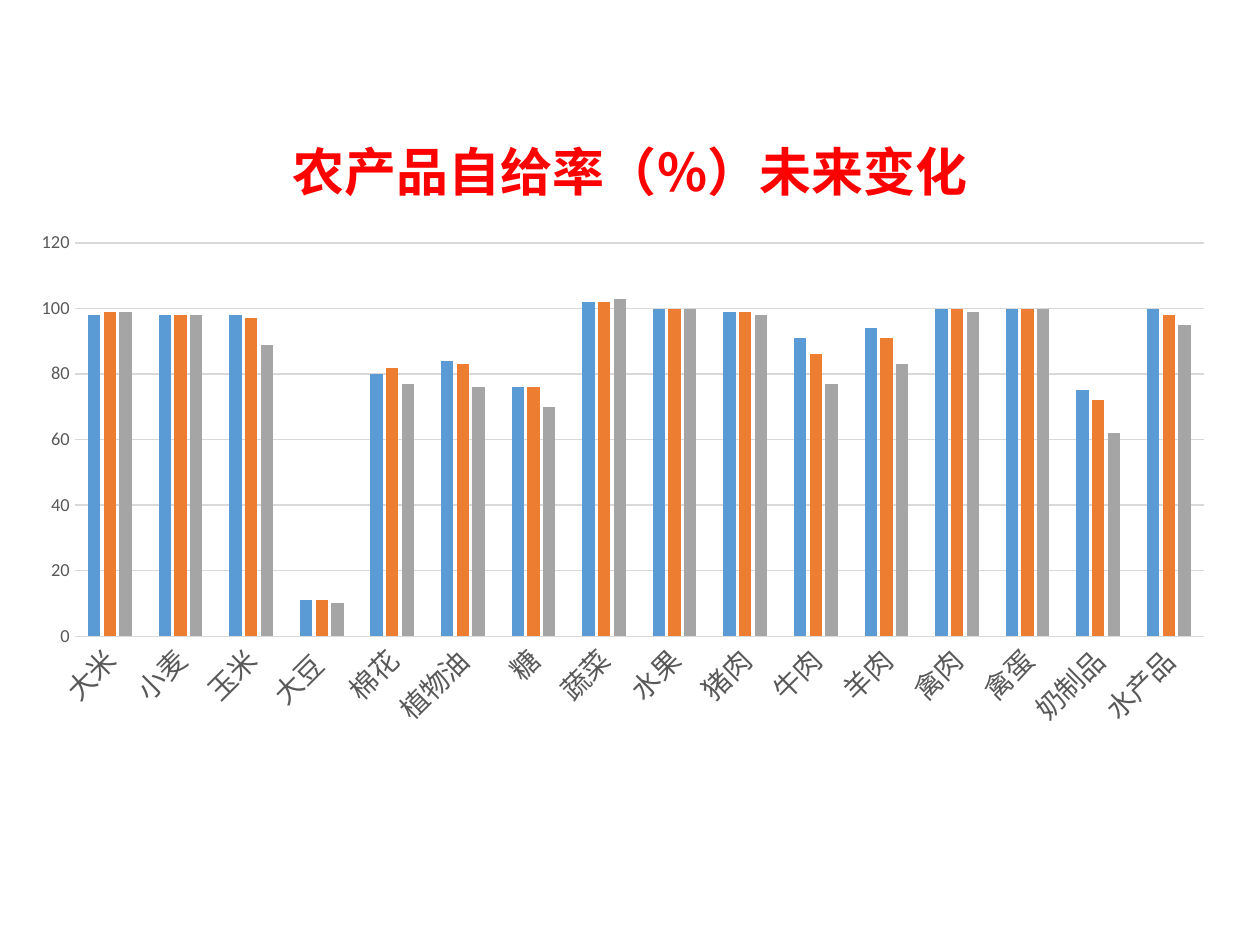
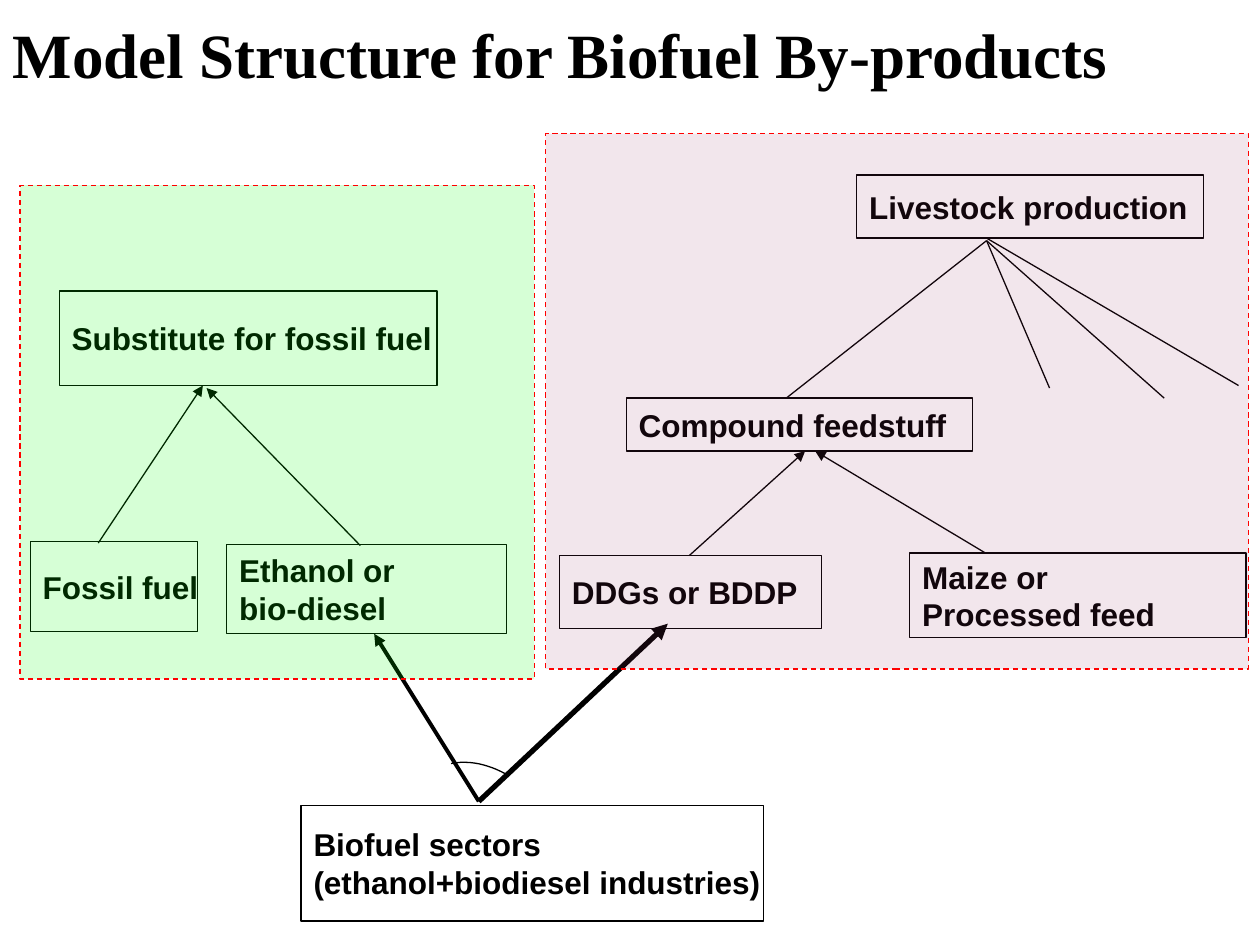
from dataclasses import dataclass

from lxml.etree import SubElement
from pptx import Presentation
from pptx.chart.data import CategoryChartData
from pptx.dml.color import RGBColor
from pptx.enum.chart import XL_CHART_TYPE, XL_TICK_MARK
from pptx.enum.dml import MSO_LINE
from pptx.enum.shapes import MSO_CONNECTOR, MSO_SHAPE
from pptx.enum.text import MSO_ANCHOR, MSO_AUTO_SIZE, PP_ALIGN
from pptx.oxml import parse_xml
from pptx.oxml.ns import nsdecls, qn
from pptx.util import Inches, Pt


@dataclass(frozen=True)
class Theme:
    ink: str = "000000"
    paper: str = "FFFFFF"
    alert: str = "FF0000"
    axis_text: str = "595959"
    grid: str = "D9D9D9"
    series: tuple = ("5B9BD5", "ED7D31", "A5A5A5")
    fuel_zone: str = "00FF00"
    feed_zone: str = "993366"
    cjk_font: str = "Noto Sans CJK SC"
    chart_font: str = "Calibri"
    title_font: str = "Times New Roman"
    box_font: str = "Arial"
    cjk_title_size: float = 29.7
    title_size: float = 36
    box_size: float = 18
    category_size: float = 16
    value_size: float = 10.5
    chart_size: float = 10
    thin: float = 0.75


THEME = Theme()

RATE_TITLE = "农产品自给率（%）未来变化"
PRODUCTS = ["大米", "小麦", "玉米", "大豆 ", "棉花", "植物油", "糖", "蔬菜",
            "水果", "猪肉", "牛肉", "羊肉", "禽肉", "禽蛋", "奶制品", "水产品"]
RATES = {
    "2015": [98, 98, 98, 11, 80, 84, 76, 102, 100, 99, 91, 94, 100, 100, 75, 100],
    "2020": [99, 98, 97, 11, 82, 83, 76, 102, 100, 99, 86, 91, 100, 100, 72, 98],
    "2030": [99, 98, 89, 10, 77, 76, 70, 103, 100, 98, 77, 83, 99, 100, 62, 95],
}
RATE_PLOT = {"x": 0.047, "y": 0.039, "w": 0.932, "h": 0.68}

MODEL_TITLE = "Model Structure for Biofuel By-products"
BOXES = [
    ("Biofuel sectors\n(ethanol+biodiesel industries)", (2.39, 6.39, 3.67, 0.92), None),
    ("DDGs or BDDP", (4.44, 4.41, 2.08, 0.58), None),
    ("Ethanol or\nbio-diesel", (1.8, 4.32, 2.22, 0.71), None),
    ("Substitute for fossil fuel", (0.47, 2.31, 3, 0.75), None),
    ("Maize or\nProcessed feed", (7.22, 4.39, 2.67, 0.67), THEME.paper),
    ("Compound feedstuff", (4.97, 3.16, 2.75, 0.42), None),
    ("Livestock production", (6.8, 1.39, 2.75, 0.5), None),
    ("Fossil fuel", (0.24, 4.3, 1.33, 0.71), None),
]
ARROWS = [
    ((2.86, 4.33), (1.64, 3.08), THEME.thin),
    ((0.78, 4.31), (1.61, 3.06), THEME.thin),
    ((8.14, 4.58), (6.47, 3.58), THEME.thin),
    ((5.47, 4.41), (6.39, 3.58), THEME.thin),
    ((3.8, 6.36), (2.97, 5.03), 2.25),
    ((3.8, 6.36), (5.3, 4.95), 3),
]
LIVESTOCK_LINKS = [
    ((6.24, 3.16), (7.83, 1.91)),
    ((7.83, 1.91), (8.33, 3.08)),
    ((7.83, 1.91), (9.24, 3.16)),
    ((7.83, 1.89), (9.83, 3.06)),
]
SPLIT_ARC = [(3.58, 6.06), (3.73, 6.03), (3.88, 6.07), (4.01, 6.14)]
ZONES = [
    ((0.16, 1.47, 4.08, 3.92), THEME.fuel_zone, 16),
    ((4.33, 1.06, 5.58, 4.25), THEME.feed_zone, 12),
]


def rgb(colour):
    return RGBColor.from_string(colour)


def inches(values):
    return [Inches(value) for value in values]


def style_font(font, name, size, colour, bold=False):
    font.name, font.size, font.bold = name, Pt(size), bold
    font.color.rgb = rgb(colour)


def style_line(line, colour=THEME.ink, width=THEME.thin):
    line.color.rgb = rgb(colour)
    line.width = Pt(width)


def add_titled_slide(deck, text, place, font_name, size, colour, align):
    slide = deck.slides.add_slide(deck.slide_layouts[5])
    title = slide.shapes.title
    title.left, title.top, title.width, title.height = inches(place)
    frame = title.text_frame
    frame.text = text
    frame.word_wrap = True
    frame.auto_size = MSO_AUTO_SIZE.NONE
    frame.vertical_anchor = MSO_ANCHOR.MIDDLE
    heading = frame.paragraphs[0]
    heading.alignment, heading.line_spacing = align, 0.9
    style_font(heading.font, font_name, size, colour, True)
    defaults = heading.font._element
    SubElement(defaults, qn("a:ea")).set("typeface", font_name)
    return slide


def add_rate_chart(slide):
    rates = CategoryChartData()
    rates.categories = PRODUCTS
    for year, values in RATES.items():
        rates.add_series(year, values)
    chart = slide.shapes.add_chart(XL_CHART_TYPE.COLUMN_CLUSTERED,
                                   *inches((0.14, 1.75, 9.62, 4.59)), rates).chart
    chart.has_title = chart.has_legend = False
    style_font(chart.font, THEME.chart_font, THEME.chart_size, THEME.ink)
    plot = chart.plots[0]
    plot.gap_width, plot.overlap, plot.vary_by_categories = 219, -27, False
    for bars, colour in zip(plot.series, THEME.series):
        bars.format.fill.solid()
        bars.format.fill.fore_color.rgb = rgb(colour)

    products, percent = chart.category_axis, chart.value_axis
    for axis, size in ((products, THEME.category_size), (percent, THEME.value_size)):
        axis.major_tick_mark = axis.minor_tick_mark = XL_TICK_MARK.NONE
        style_font(axis.tick_labels.font, THEME.chart_font, size, THEME.axis_text)
    products._element.find(qn("c:txPr")).find(qn("a:bodyPr")).set("rot", "-2700000")
    style_line(products.format.line, THEME.grid)
    percent.format.line.fill.background()
    percent.minimum_scale, percent.maximum_scale, percent.major_unit = 0, 120, 20
    style_line(percent.major_gridlines.format.line, THEME.grid)

    plot_area = plot._element.getparent()
    for old_layout in plot_area.findall(qn("c:layout")):
        plot_area.remove(old_layout)
    modes = '<c:layoutTarget val="inner"/><c:xMode val="edge"/><c:yMode val="edge"/>'
    sizes = "".join(f'<c:{key} val="{share}"/>' for key, share in RATE_PLOT.items())
    plot_area.insert(0, parse_xml(
        f'<c:layout {nsdecls("c")}><c:manualLayout>{modes}{sizes}</c:manualLayout></c:layout>'))


def add_panel(slide, place, fill=None, line=THEME.ink):
    panel = slide.shapes.add_shape(MSO_SHAPE.RECTANGLE, *inches(place))
    panel.shadow.inherit = False
    style_line(panel.line, line)
    if fill:
        panel.fill.solid()
        panel.fill.fore_color.rgb = rgb(fill)
    else:
        panel.fill.background()
    return panel


def add_box(slide, text, place, fill):
    frame = add_panel(slide, place, fill).text_frame
    frame.text = text
    frame.word_wrap = False
    frame.vertical_anchor = MSO_ANCHOR.MIDDLE
    for paragraph in frame.paragraphs:
        paragraph.alignment = PP_ALIGN.LEFT
        style_font(paragraph.font, THEME.box_font, THEME.box_size, THEME.ink, True)


def add_link(slide, start, end, width=THEME.thin, arrow=False):
    link = slide.shapes.add_connector(MSO_CONNECTOR.STRAIGHT, *inches(start + end))
    style_line(link.line, width=width)
    if arrow:
        SubElement(link.line._get_or_add_ln(), qn("a:tailEnd")).set("type", "triangle")
    SubElement(link._element.spPr, qn("a:effectLst"))


def bezier(a, b, c, d, steps=12):
    for step in range(steps + 1):
        t = step / steps
        u = 1 - t
        yield tuple(Inches(u**3 * p + 3 * u * u * t * q + 3 * u * t * t * r + t**3 * s)
                    for p, q, r, s in zip(a, b, c, d))


def add_split_arc(slide):
    start, *rest = bezier(*SPLIT_ARC)
    builder = slide.shapes.build_freeform(*start)
    builder.add_line_segments(rest, close=False)
    arc = builder.convert_to_shape()
    arc.shadow.inherit = False
    arc.fill.background()
    style_line(arc.line)


def add_zone(slide, place, colour, opacity):
    zone = add_panel(slide, place, colour, THEME.alert)
    zone.line.dash_style = MSO_LINE.DASH
    tint = zone._element.spPr.find(qn("a:solidFill"))[0]
    SubElement(tint, qn("a:alpha")).set("val", str(opacity * 1000))


def main():
    deck = Presentation()
    deck.slide_width, deck.slide_height = inches((10, 7.5))

    rate_slide = add_titled_slide(deck, RATE_TITLE, (0.69, 1.13, 8.62, 0.52), THEME.cjk_font,
                                  THEME.cjk_title_size, THEME.alert, PP_ALIGN.CENTER)
    add_rate_chart(rate_slide)

    model_slide = add_titled_slide(deck, MODEL_TITLE, (0, 0, 10, 0.92), THEME.title_font,
                                   THEME.title_size, THEME.ink, PP_ALIGN.LEFT)
    for start, end, width in ARROWS:
        add_link(model_slide, start, end, width, arrow=True)
    for start, end in LIVESTOCK_LINKS:
        add_link(model_slide, start, end)
    add_split_arc(model_slide)
    for text, place, fill in BOXES:
        add_box(model_slide, text, place, fill)
    for place, colour, opacity in ZONES:
        add_zone(model_slide, place, colour, opacity)

    deck.save("out.pptx")


if __name__ == "__main__":
    main()
